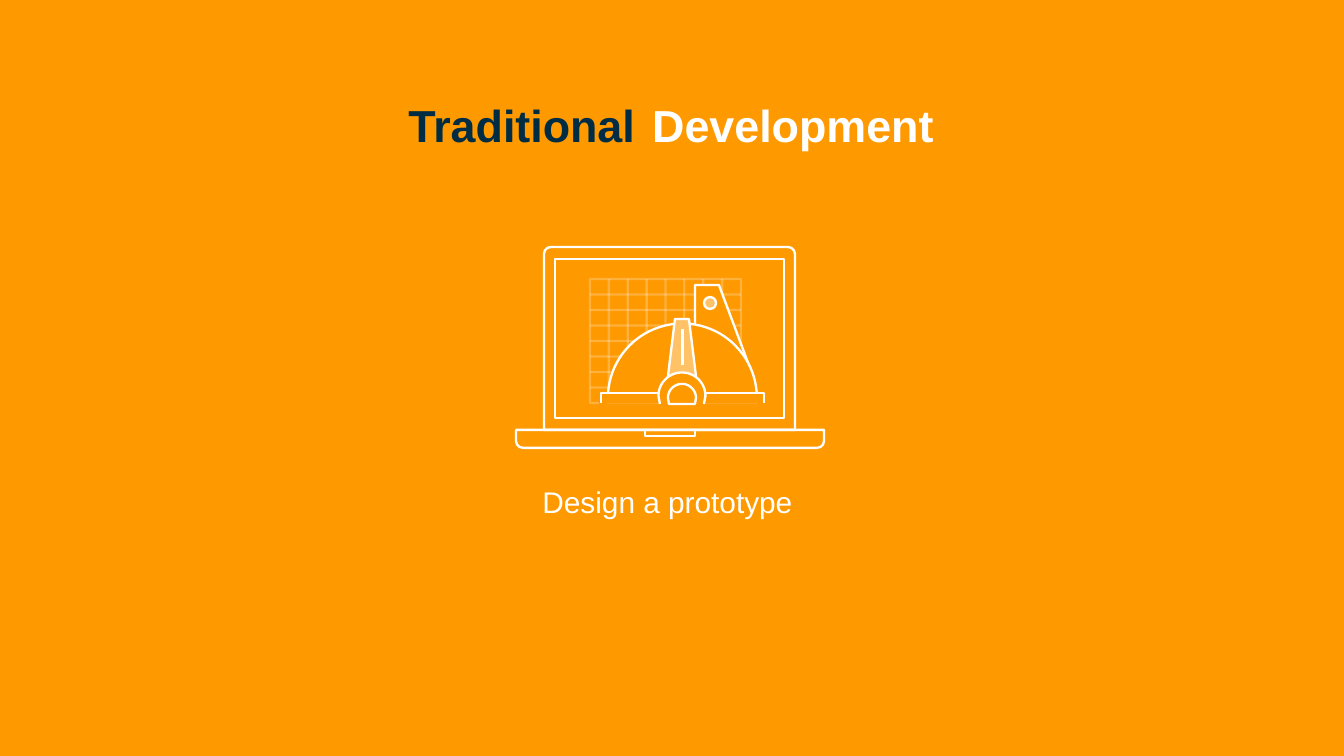
import math

import lxml.etree
import pptx
import pptx.dml.color
import pptx.enum.shapes
import pptx.enum.text
import pptx.oxml.ns
import pptx.util

PX = 914400 / 134.4
ORANGE = pptx.dml.color.RGBColor(0xFF, 0x99, 0x00)
PALE_ORANGE = pptx.dml.color.RGBColor(0xFF, 0xC2, 0x66)
NAVY = pptx.dml.color.RGBColor(0x00, 0x2D, 0x43)
WHITE = pptx.dml.color.RGBColor(0xFF, 0xFF, 0xFF)
HALF_CIRCLE = [(-math.cos(math.radians(a)), -math.sin(math.radians(a)))
               for a in range(0, 181, 4)]
PRESET = pptx.enum.shapes.MSO_SHAPE
STRAIGHT = pptx.enum.shapes.MSO_CONNECTOR.STRAIGHT
qn = pptx.oxml.ns.qn


def draw(kind, points, fill=None, opacity=100, closed=False):
    """Add a white-lined part: a preset (left, top, width, height), a "line" or an "outline"."""
    if kind == "outline":
        corners = [(round(x * PX), round(y * PX)) for x, y in points]
        builder = icon.shapes.build_freeform(*corners[0], scale=1.0)
        builder.add_line_segments(corners[1:], close=closed)
        part = builder.convert_to_shape()
    else:
        lengths = [round(value * PX) for value in points]
        if kind == "line":
            part = icon.shapes.add_connector(STRAIGHT, *lengths)
        else:
            part = icon.shapes.add_shape(kind, *lengths)
    if fill is not None:
        part.fill.solid()
        part.fill.fore_color.rgb = fill
    elif kind != "line":
        part.fill.background()
    part.line.color.rgb = WHITE
    part.line.width = pptx.util.Pt(1.25)
    properties = part.element.spPr
    line = properties.find(qn("a:ln"))
    if opacity < 100:
        color = line.find(".//" + qn("a:srgbClr"))
        lxml.etree.SubElement(color, qn("a:alpha"), val=str(opacity * 1000))
    lxml.etree.SubElement(line, qn("a:round"))
    lxml.etree.SubElement(properties, qn("a:effectLst"))
    return part


deck = pptx.Presentation()
deck.slide_width = round(1344 * PX)
deck.slide_height = round(756 * PX)
page = deck.slides.add_slide(deck.slide_layouts[5])
title = page.shapes.title

backdrop = page.shapes.add_shape(PRESET.RECTANGLE, 0, 0, deck.slide_width, deck.slide_height)
backdrop.shadow.inherit = False
backdrop.fill.solid()
backdrop.fill.fore_color.rgb = ORANGE
backdrop.line.fill.background()
title.element.addprevious(backdrop.element)

# Heading and caption
left, center = pptx.enum.text.PP_ALIGN.LEFT, pptx.enum.text.PP_ALIGN.CENTER
for box, text, frame, size, color, bold, alignment in [
    (title, "Traditional", (395, 91, 276, 67), 24, NAVY, True, left),
    (None, "Development", (639, 91, 313, 67), 24, WHITE, True, left),
    (None, "Design a prototype", (377, 477, 581, 50), 16, WHITE, False, center),
]:
    box = box or page.shapes.add_textbox(0, 0, 0, 0)
    box.left, box.top, box.width, box.height = [round(value * PX) for value in frame]
    box.text_frame.word_wrap = True
    box.text_frame.auto_size = pptx.enum.text.MSO_AUTO_SIZE.NONE
    box.text_frame.vertical_anchor = pptx.enum.text.MSO_ANCHOR.TOP
    box.text_frame.text = text
    para = box.text_frame.paragraphs[0]
    para.alignment = alignment
    para.font.name = "Arial"
    para.font.size = pptx.util.Pt(size)
    para.font.bold = bold
    para.font.color.rgb = color

# Laptop
icon = page.shapes.add_group_shape()
lid = draw(PRESET.ROUND_2_SAME_RECTANGLE, (544, 247, 251, 183))
lid.adjustments[0] = 7 / 183
draw(PRESET.RECTANGLE, (555, 259, 229, 159))
base = draw(PRESET.ROUND_2_SAME_RECTANGLE, (516, 430, 308, 18))
base.adjustments[0] = 0
base.adjustments[1] = 7 / 18
draw("outline", [(645, 430), (645, 436), (695, 436), (695, 430)])

# Drafting grid: eight by eight cells, cut off where the tools lie
grid_left, grid_top, grid_right, grid_bottom = 590, 279, 741, 403
column_step = (grid_right - grid_left) / 8
row_step = (grid_bottom - grid_top) / 8
draw("outline", [(599, grid_bottom), (grid_left, grid_bottom), (grid_left, grid_top),
                 (grid_right, grid_top), (grid_right, 349)], opacity=24)
for row, end in enumerate([741, 741, 741, 660, 637, 621, 609], start=1):
    y = grid_top + row * row_step
    draw("line", (grid_left, y, end, y), opacity=24)
draw("line", (712, 341, grid_right, 341), opacity=24)
for column, end in enumerate([387, 364, 352, 336, 335, 336, 349], start=1):
    x = grid_left + column * column_step
    draw("line", (x, grid_top, x, end), opacity=24)

# Set square and protractor
draw("outline", [(719, 285), (695, 285), (695, 384), (753, 376)], ORANGE, closed=True)
dome = [(682.5 + 74.5 * x, 398 + 74.5 * y) for x, y in HALF_CIRCLE]
draw("outline", dome + [(757, 402), (608, 402)], ORANGE, closed=True)
draw("outline", [(601, 403), (601, 393), (764, 393), (764, 403)], ORANGE)
lever = draw(PRESET.TRAPEZOID, (668, 319, 28, 57), PALE_ORANGE)
lever.adjustments[0] = 0.25
draw("line", (682.5, 329, 682.5, 365))
draw(PRESET.OVAL, (704, 297, 12, 12), PALE_ORANGE)
collar = [(682 + 23.5 * x, 396 + 23.5 * y) for x, y in HALF_CIRCLE]
draw("outline", [(660, 404)] + collar + [(704, 404)], ORANGE)
hub = [(682 + 14 * x, 398 + 14 * y) for x, y in HALF_CIRCLE]
draw("outline", hub + [(695, 404), (669, 404)], ORANGE, closed=True)

deck.save("out.pptx")
